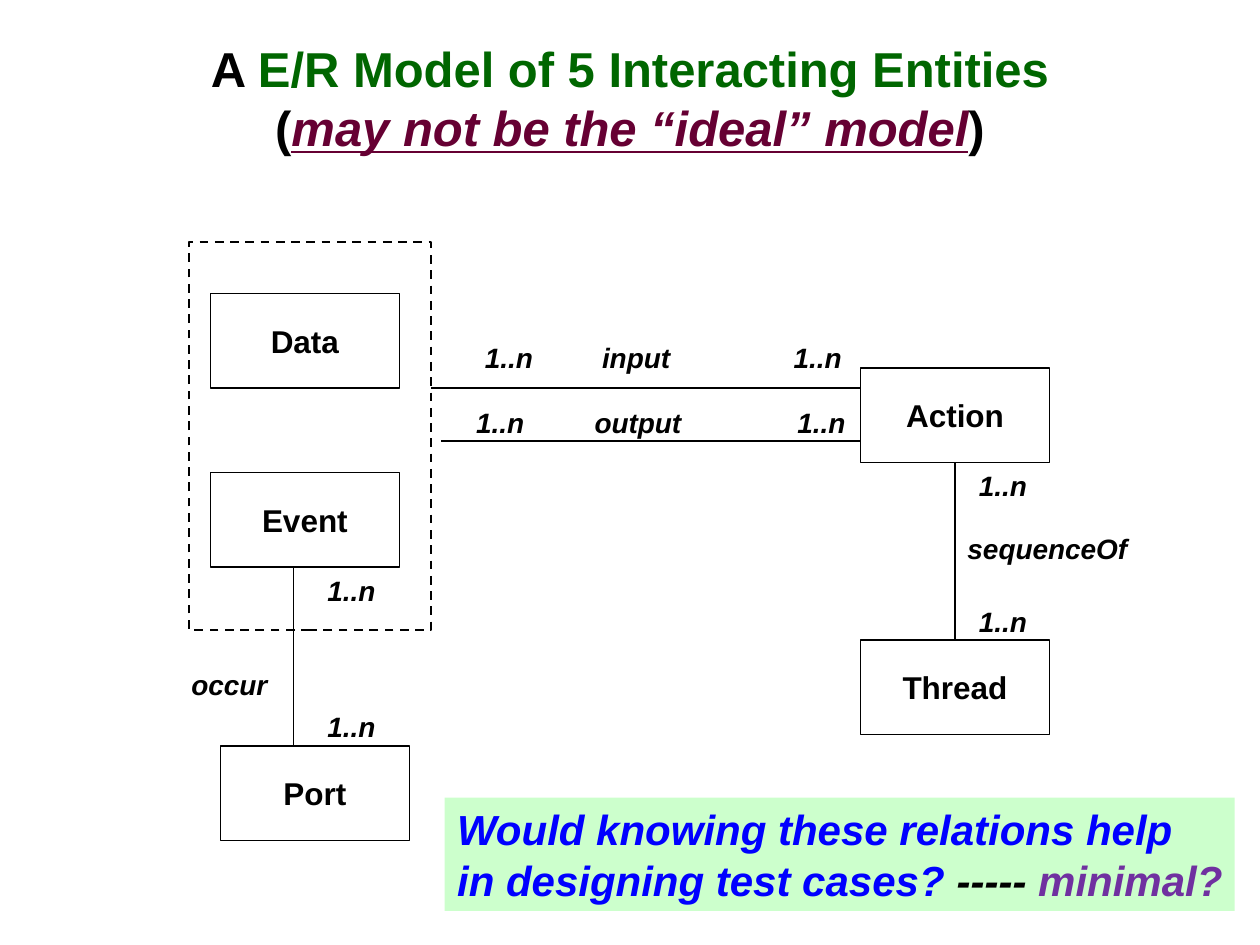
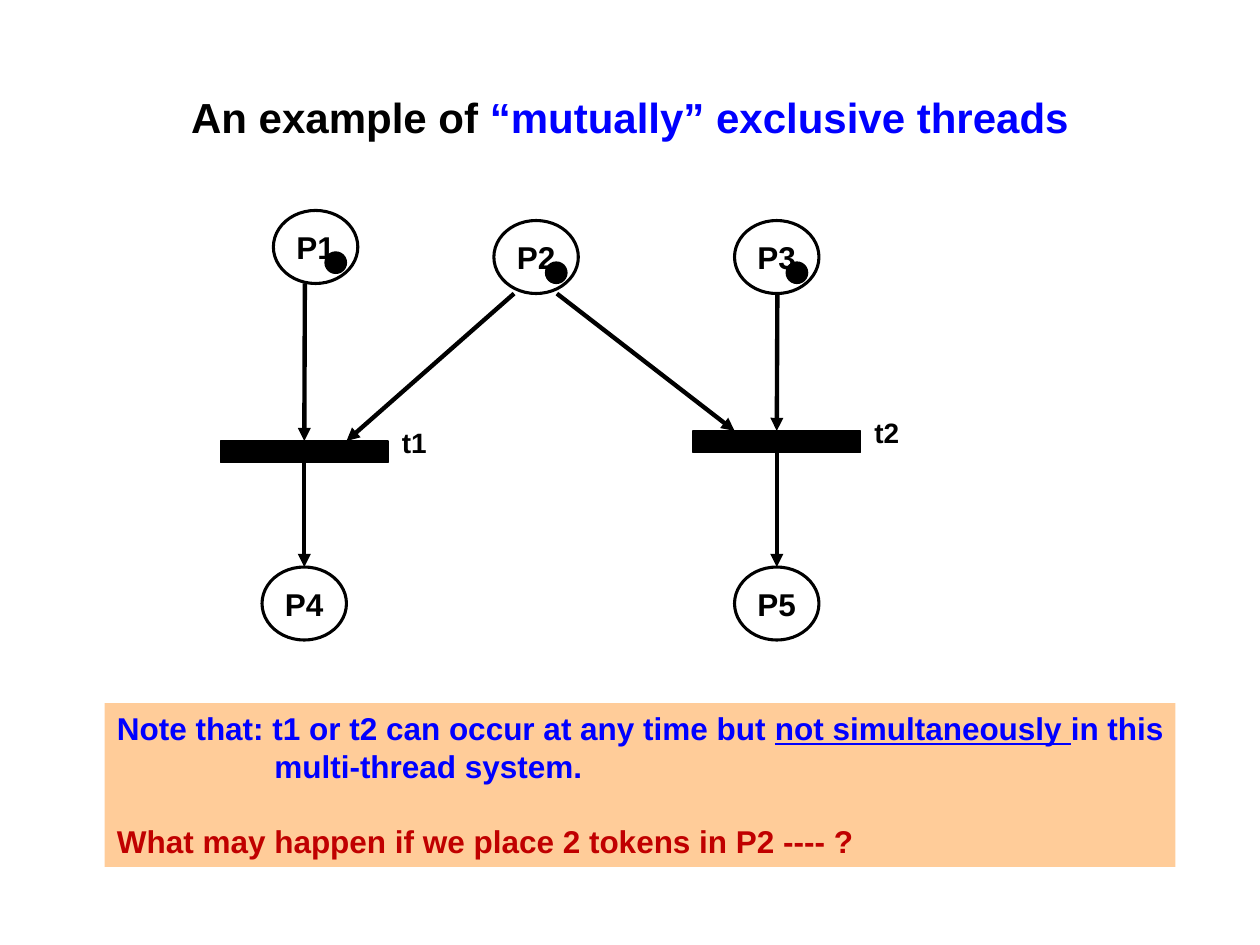
from lxml import etree
from pptx import Presentation
from pptx.dml.color import RGBColor
from pptx.enum.dml import MSO_LINE
from pptx.enum.shapes import MSO_CONNECTOR, MSO_SHAPE
from pptx.enum.text import MSO_ANCHOR, MSO_AUTO_SIZE, PP_ALIGN
from pptx.oxml.ns import qn
from pptx.util import Inches, Pt

RECT, OVAL = MSO_SHAPE.RECTANGLE, MSO_SHAPE.OVAL
STRAIGHT = MSO_CONNECTOR.STRAIGHT
DASH = MSO_LINE.DASH
LEFT, CENTER = PP_ALIGN.LEFT, PP_ALIGN.CENTER
TOP, MIDDLE = MSO_ANCHOR.TOP, MSO_ANCHOR.MIDDLE
GROW = MSO_AUTO_SIZE.SHAPE_TO_FIT_TEXT
TOP_SIDE, BOTTOM_SIDE = 0, 2

# Shared look
FONT = "Arial"
BLACK, WHITE, BLUE = "000000", "FFFFFF", "0000FF"
GREEN, MAROON, PURPLE, RED = "006600", "660033", "7030A0", "C00000"
MINT, PEACH = "CCFFCC", "FFCC99"
BREAK = ("\n", BLACK)
MANY = "1..n"

# Repeated sizes, in inches
ENTITY_SIZE = (1.5, 0.75)
PLACE_SIZE = (0.67, 0.58)
TOKEN_SIZE = (0.17, 0.17)
TOKEN_OFFSET = (0.41, 0.33)
BAR_SIZE = (1.33, 0.17)


def color(hex_code):
    return RGBColor.from_string(hex_code)


def write(frame, paragraphs, size, align=LEFT, anchor=TOP, italic=False, wrap=False):
    """Each paragraph is a list of (text, colour[, italic, underline]) runs."""
    frame.word_wrap = wrap
    frame.vertical_anchor = anchor
    for number, runs in enumerate(paragraphs):
        paragraph = frame.add_paragraph() if number else frame.paragraphs[0]
        paragraph.alignment = align
        font = paragraph.font
        font.name, font.size, font.bold, font.italic = FONT, Pt(size), True, italic
        for text, hex_code, *emphasis in runs:
            if text == "\n":
                paragraph.add_line_break()
                continue
            run = paragraph.add_run()
            run.text = text
            run.font.color.rgb = color(hex_code)
            if emphasis:
                run.font.italic, run.font.underline = emphasis


def add_title(slide, runs, size, height):
    box = slide.shapes.add_textbox(Inches(0.5), Inches(0.3), Inches(9), Inches(height))
    write(box.text_frame, [runs], size, CENTER, MIDDLE, wrap=True)


def add_figure(slide, kind, place, size, fill=WHITE, line_width=0.75, text=None):
    figure = slide.shapes.add_shape(kind, *map(Inches, (*place, *size)))
    figure.shadow.inherit = False
    figure.fill.solid()
    figure.fill.fore_color.rgb = color(fill)
    if line_width:
        figure.line.color.rgb = color(BLACK)
        figure.line.width = Pt(line_width)
    else:
        figure.line.fill.background()
    if text:
        write(figure.text_frame, [[(text, BLACK)]], 18, CENTER, MIDDLE)
    return figure


def add_label(slide, text, left, top, width, italic=True, tabs=()):
    box = slide.shapes.add_textbox(*map(Inches, (left, top, width, 0.37)))
    write(box.text_frame, [[(text, BLACK)]], 16, italic=italic, wrap=bool(tabs))
    box.text_frame.auto_size = GROW
    if tabs:
        properties = box.text_frame.paragraphs[0]._p.get_or_add_pPr()
        stops = etree.Element(qn("a:tabLst"))
        for position in tabs:
            etree.SubElement(stops, qn("a:tab"), pos=str(Inches(position)), algn="l")
        properties.insert(0, stops)


def add_note(slide, place, size, fill, paragraphs, font_size, italic=False):
    note = add_figure(slide, RECT, place, size, fill, line_width=0)
    write(note.text_frame, paragraphs, font_size, italic=italic)
    return note.text_frame.paragraphs


def add_line(slide, start, end, width=0.75, arrow=False, source=None, target=None):
    line = slide.shapes.add_connector(STRAIGHT, *map(Inches, (*start, *end)))
    line.line.color.rgb = color(BLACK)
    line.line.width = Pt(width)
    if source:
        line.begin_connect(source, BOTTOM_SIDE)
    if target:
        line.end_connect(target, TOP_SIDE)
    if arrow:
        etree.SubElement(line.line._get_or_add_ln(), qn("a:tailEnd"), type="triangle")
    etree.SubElement(line._element.spPr, qn("a:effectLst"))


def add_arrow(slide, start, end, **joints):
    add_line(slide, start, end, width=2.5, arrow=True, **joints)


def build_entity_model(slide):
    add_title(slide, [
        ("A ", BLACK),
        ("E/R Model of 5 Interacting Entities", GREEN),
        BREAK,
        ("(", BLACK),
        ("may not be the “ideal” model", MAROON, True, True),
        (")", BLACK),
    ], 28, 0.95)

    # Entities, with Data and Event grouped by a dashed frame
    group = add_figure(slide, RECT, (1.5, 1.92), (1.92, 3.08), line_width=1.25)
    group.line.dash_style = DASH
    places = {"Data": (1.67, 2.33), "Event": (1.67, 3.75), "Port": (1.75, 5.92),
              "Thread": (6.83, 5.08), "Action": (6.83, 2.92)}
    entities = {name: add_figure(slide, RECT, place, ENTITY_SIZE, text=name)
                for name, place in places.items()}

    # Relations
    add_line(slide, (3.42, 3.08), (6.83, 3.08))
    add_line(slide, (3.5, 3.5), (6.83, 3.5))
    add_line(slide, (7.58, 3.67), (7.58, 5.08),
             source=entities["Action"], target=entities["Thread"])
    add_line(slide, (2.33, 4.5), (2.33, 5.92))

    # Relation names and multiplicities
    add_label(slide, f"{MANY}\tinput\t{MANY}", 3.75, 2.65, 3.1, tabs=(0.93, 2.45))
    add_label(slide, f"{MANY}\toutput\t{MANY}", 3.68, 3.17, 3.19, tabs=(0.94, 2.55))
    for left, top in ((7.67, 3.67), (7.67, 4.75), (2.5, 5.58), (2.5, 4.5)):
        add_label(slide, MANY, left, top, 0.58)
    add_label(slide, "occur", 1.42, 5.25, 0.82)
    add_label(slide, "sequenceOf", 7.58, 4.17, 1.48)

    add_note(slide, (3.53, 6.33), (6.27, 0.9), MINT, [
        [("Would knowing these relations help", BLUE)],
        [("in designing test cases? ", BLUE), ("----- ", BLACK), ("minimal?", PURPLE)],
    ], 24, italic=True)


def build_exclusive_threads(slide):
    add_title(slide, [("An example of ", BLACK),
                      ("“mutually” exclusive threads", BLUE)], 24, 1.25)

    # Places, of which the upper three hold a token
    starts = {"P1": (2.17, 1.67), "P2": (3.92, 1.75), "P3": (5.83, 1.75)}
    ends = {"P4": (2.08, 4.5), "P5": (5.83, 4.5)}
    places = {name: add_figure(slide, OVAL, place, PLACE_SIZE, line_width=1.75, text=name)
              for name, place in (starts | ends).items()}
    for left, top in starts.values():
        token_place = (left + TOKEN_OFFSET[0], top + TOKEN_OFFSET[1])
        add_figure(slide, OVAL, token_place, TOKEN_SIZE, BLACK)

    # Transitions, each fed from above and leading to a place below
    for name, left, top, center, feed_top, result in (
            ("t1", 1.75, 3.5, 2.42, 2.25, "P4"), ("t2", 5.5, 3.42, 6.17, 2.33, "P5")):
        bar = add_figure(slide, RECT, (left, top), BAR_SIZE, BLACK)
        add_label(slide, name, left + 1.34, top - 0.17, 0.41, italic=False)
        add_arrow(slide, (center, feed_top), (center, top), target=bar)
        add_arrow(slide, (center, top + BAR_SIZE[1]), (center, 4.5),
                  source=bar, target=places[result])

    # P2 feeds both transitions
    add_arrow(slide, (4.08, 2.33), (2.75, 3.5))
    add_arrow(slide, (4.42, 2.33), (5.83, 3.42))

    _, continuation, question = add_note(slide, (0.83, 5.58), (8.5, 1.3), PEACH, [
        [("Note that: t1 or t2 can occur at any time but ", BLUE),
         ("not simultaneously ", BLUE, False, True), ("in this", BLUE)],
        [("multi-thread system.", BLUE)],
        [("What may happen if we place 2 tokens in P2 ---- ?", RED)],
    ], 18)
    continuation._p.get_or_add_pPr().set("marL", str(Inches(1.25)))
    question.space_before = Pt(21)


def main():
    deck = Presentation()
    deck.slide_width, deck.slide_height = Inches(10), Inches(7.5)
    blank = deck.slide_layouts[6]
    for build in (build_entity_model, build_exclusive_threads):
        build(deck.slides.add_slide(blank))
    deck.save("out.pptx")


if __name__ == "__main__":
    main()
